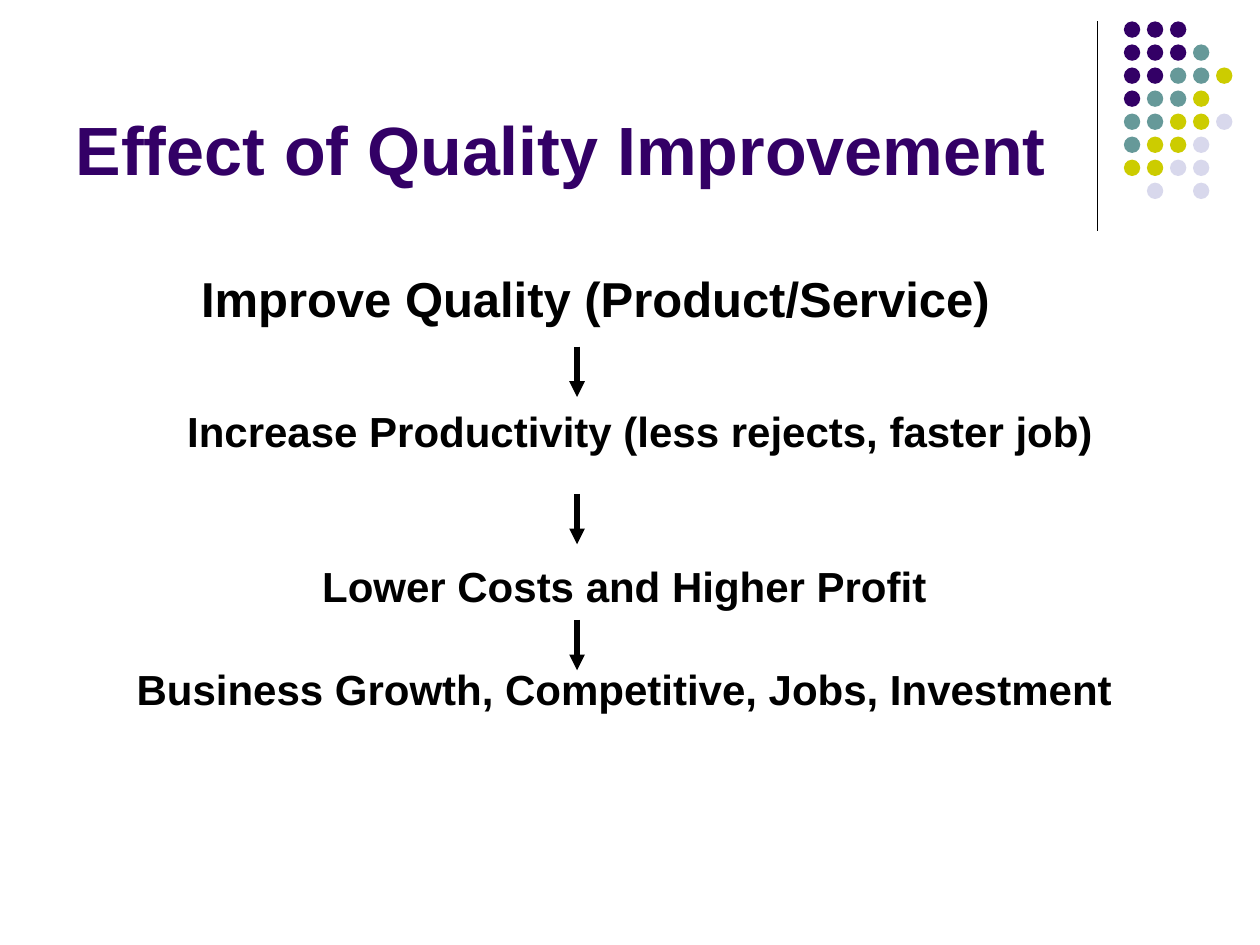
import lxml.etree
import pptx
import pptx.dml.color
import pptx.enum.shapes
import pptx.enum.text
import pptx.oxml.ns
import pptx.util

Inches = pptx.util.Inches
Pt = pptx.util.Pt
RGBColor = pptx.dml.color.RGBColor
Anchor = pptx.enum.text.MSO_ANCHOR
Align = pptx.enum.text.PP_ALIGN
qn = pptx.oxml.ns.qn

PURPLE = RGBColor(0x33, 0x00, 0x66)
TEAL = RGBColor(0x66, 0x99, 0x99)
OLIVE = RGBColor(0xCC, 0xCC, 0x00)
LAVENDER = RGBColor(0xD8, 0xD8, 0xEC)
BLACK = RGBColor(0, 0, 0)

TITLE = "Effect of Quality Improvement"
TITLE_BOX = (0.5, 0.13, 8.25, 1.42)

# box (left, top, width, height), text size, paragraphs
STEPS = [
    ((1.25, 2.08, 6.95, 0.57), 28, ["Improve Quality (Product/Service)"]),
    ((1.08, 3.17, 8, 0.5), 24, ["Increase Productivity (less rejects, faster job)"]),
    ((0.58, 4.41, 8.75, 1.3), 24, [
        "Lower Costs and Higher Profit",
        "Business Growth, Competitive, Jobs, Investment",
    ]),
]
PARAGRAPH_GAP = 30

ARROW_X, ARROW_LENGTH = 4.58, 0.4
ARROW_TOPS = [2.75, 3.92, 4.92]

DOT_COLORS = {"P": PURPLE, "T": TEAL, "O": OLIVE, "L": LAVENDER}
DOT_ROWS = ["PPP", "PPPT", "PPTTO", "PTTO", "TTOOL", "TOOL", "OOLL", " L L"]
DOT_LEFT, DOT_TOP, DOT_SIZE = 8.92, 0.17, 0.13
DOT_SPAN = 1.28  # from the first row to the last
DOT_PITCH = DOT_SPAN / (len(DOT_ROWS) - 1)


def add_line(slide, x, top, bottom, width, arrow=False):
    line = slide.shapes.add_connector(
        pptx.enum.shapes.MSO_CONNECTOR.STRAIGHT,
        Inches(x), Inches(top), Inches(x), Inches(bottom))
    line.line.color.rgb = BLACK
    line.line.width = Pt(width)
    properties = line._element.spPr
    if arrow:
        outline = properties.find(qn("a:ln"))
        lxml.etree.SubElement(outline, qn("a:tailEnd"), type="triangle")
    lxml.etree.SubElement(properties, qn("a:effectLst"))


def add_dots(slide):
    for row, codes in enumerate(DOT_ROWS):
        for column, code in enumerate(codes):
            if code == " ":
                continue
            dot = slide.shapes.add_shape(
                pptx.enum.shapes.MSO_SHAPE.OVAL,
                Inches(DOT_LEFT + column * DOT_PITCH),
                Inches(DOT_TOP + row * DOT_PITCH),
                Inches(DOT_SIZE), Inches(DOT_SIZE))
            dot.shadow.inherit = False
            dot.fill.solid()
            dot.fill.fore_color.rgb = DOT_COLORS[code]
            dot.line.fill.background()


def write_text(shape, paragraphs, size, color, alignment, anchor):
    frame = shape.text_frame
    frame_format = {
        "word_wrap": True,
        "auto_size": pptx.enum.text.MSO_AUTO_SIZE.NONE,
        "vertical_anchor": anchor,
    }
    for name, value in frame_format.items():
        setattr(frame, name, value)
    font_format = {"name": "Arial", "size": Pt(size), "bold": True}
    for index, text in enumerate(paragraphs):
        paragraph = frame.add_paragraph() if index else frame.paragraphs[0]
        paragraph.alignment = alignment
        if index:
            paragraph.space_before = Pt(PARAGRAPH_GAP)
        run = paragraph.add_run()
        run.text = text
        for name, value in font_format.items():
            setattr(run.font, name, value)
        run.font.color.rgb = color


def main():
    presentation = pptx.Presentation()
    presentation.slide_width = Inches(10)
    presentation.slide_height = Inches(7.5)
    slide = presentation.slides.add_slide(presentation.slide_layouts[5])

    add_line(slide, 8.71, 0.17, 1.83, 0.75)
    add_dots(slide)
    for top in ARROW_TOPS:
        add_line(slide, ARROW_X, top, top + ARROW_LENGTH, 3, arrow=True)

    for box, size, paragraphs in STEPS:
        step = slide.shapes.add_textbox(*map(Inches, box))
        write_text(step, paragraphs, size, BLACK, Align.CENTER, Anchor.MIDDLE)

    title = slide.shapes.title
    title.left, title.top, title.width, title.height = map(Inches, TITLE_BOX)
    write_text(title, [TITLE], 39, PURPLE, Align.LEFT, Anchor.BOTTOM)

    presentation.save("out.pptx")


if __name__ == "__main__":
    main()
